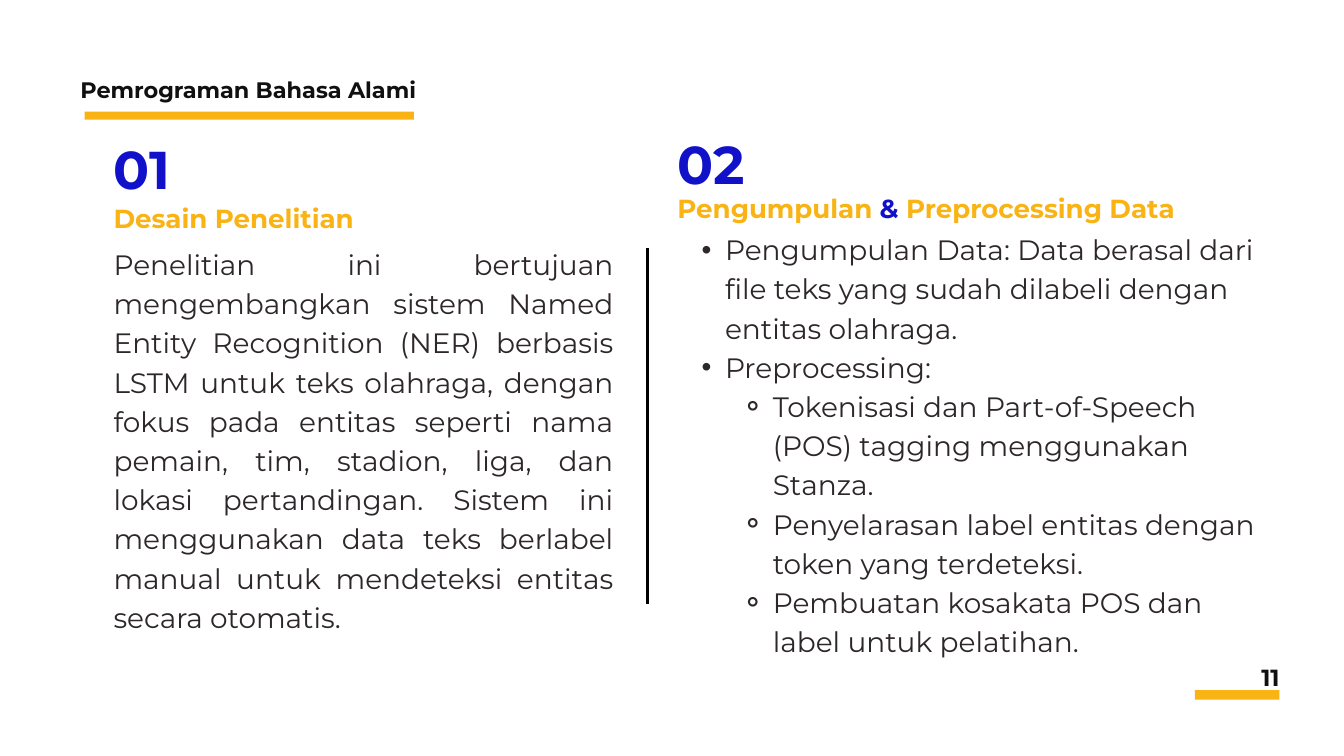
from lxml import etree
from pptx import Presentation
from pptx.dml.color import RGBColor
from pptx.enum.shapes import MSO_CONNECTOR, MSO_SHAPE
from pptx.enum.text import MSO_AUTO_SIZE, PP_ALIGN
from pptx.oxml.ns import qn
from pptx.util import Inches, Pt

FONT = "Montserrat"
BLUE = RGBColor(0x12, 0x11, 0xCA)
AMBER = RGBColor(0xF9, 0xB3, 0x14)
BLACK = RGBColor(0x00, 0x00, 0x00)
INK = RGBColor(0x10, 0x10, 0x10)
BODY = RGBColor(0x2D, 0x26, 0x2A)

NUMBER_FMT = {"size": Pt(57), "bold": True, "color": BLUE}
HEADING_FMT = {"size": Pt(28), "bold": True, "color": AMBER}
BODY_FMT = {"size": Pt(30), "bold": False, "color": BODY}
TITLE_FMT = {"size": Pt(24), "bold": True, "color": INK}
PAGE_FMT = {"size": Pt(25), "bold": True, "color": INK}

# Level: (left margin, hanging indent, bullet)
BULLETS = {1: (0.71, -0.35, "•"), 2: (1.42, -0.47, "⚬")}


def add_run(p, text, fmt):
    r = p.add_run()
    r.text = text
    r.font.name = FONT
    for name, value in fmt.items():
        if name == "color":
            r.font.color.rgb = value
        else:
            setattr(r.font, name, value)


def set_bullet(p, level):
    margin, indent, char = BULLETS[level]
    p.level = level
    pPr = p._p.get_or_add_pPr()
    pPr.set("marL", str(Inches(margin)))
    pPr.set("indent", str(Inches(indent)))
    etree.SubElement(pPr, qn("a:buFont")).set("typeface", "Arial")
    etree.SubElement(pPr, qn("a:buChar")).set("char", char)


def add_text(s, box, paragraphs, fmt, spacing, align=PP_ALIGN.LEFT):
    """Each paragraph is (level, [(text, format changes), ...])."""
    tf = s.shapes.add_textbox(*map(Inches, box)).text_frame
    frame = {"margin_left": 0, "margin_top": 0, "margin_right": 0,
             "margin_bottom": 0, "word_wrap": True,
             "auto_size": MSO_AUTO_SIZE.SHAPE_TO_FIT_TEXT}
    for name, value in frame.items():
        setattr(tf, name, value)
    for i, (level, runs) in enumerate(paragraphs):
        p = tf.add_paragraph() if i else tf.paragraphs[0]
        p.alignment = align
        p.line_spacing = Pt(spacing)
        if level:
            set_bullet(p, level)
        for text, changes in runs:
            add_run(p, text, {**fmt, **changes})


def plain(text, level=0):
    return level, [(text, {})]


def add_bar(s, box):
    sp = s.shapes.add_shape(MSO_SHAPE.RECTANGLE, *map(Inches, box))
    sp.shadow.inherit = False
    sp.fill.solid()
    sp.fill.fore_color.rgb = AMBER
    sp.line.fill.background()


def add_header(s, left, top, width):
    add_text(s, (left, top, width, 0.39), [plain("Pemrograman Bahasa Alami")],
             TITLE_FMT, 28.1, PP_ALIGN.RIGHT)
    add_bar(s, (left + 0.14, top + 0.52, 4.9, 0.12))


def add_section(s, box, number, heading, body, heading_gap, body_gap, align):
    """Number, heading and body stacked; gaps are measured from the box top."""
    left, top, width, height = box
    add_text(s, (left, top, 1.08, 1.06), [plain(number)], NUMBER_FMT, 79.8)
    add_text(s, (left, top + heading_gap, width, 0.53), [(0, heading)],
             HEADING_FMT, 39.2)
    add_text(s, (left, top + body_gap, width, height - body_gap), body,
             BODY_FMT, 42, align)


def add_divider(s, x, top, bottom):
    line = s.shapes.add_connector(MSO_CONNECTOR.STRAIGHT, Inches(x), Inches(top),
                                  Inches(x), Inches(bottom))
    line.line.color.rgb = BLACK
    line.line.width = Pt(3)
    etree.SubElement(line._element.spPr, qn("a:effectLst"))


def add_page_number(s, right, top, number):
    add_text(s, (right - 0.32, top, 0.32, 0.47), [plain(number)],
             PAGE_FMT, 35, PP_ALIGN.RIGHT)
    add_bar(s, (right - 1.26, top + 0.47, 1.26, 0.14))


def main():
    prs = Presentation()
    prs.slide_width, prs.slide_height = Inches(20), Inches(11.25)
    s = prs.slides.add_slide(prs.slide_layouts[6])

    add_header(s, 1.12, 1.14, 5.07)

    # Left column: research design
    design = [plain(
        "Penelitian ini bertujuan mengembangkan sistem Named Entity Recognition "
        "(NER) berbasis LSTM untuk teks olahraga, dengan fokus pada entitas "
        "seperti nama pemain, tim, stadion, liga, dan lokasi pertandingan. "
        "Sistem ini menggunakan data teks berlabel manual untuk mendeteksi "
        "entitas secara otomatis.")]
    add_section(s, (1.69, 1.87, 7.44, 7.44), "01", [("Desain Penelitian", {})],
                design, 1.06, 1.73, PP_ALIGN.JUSTIFY)

    add_divider(s, 9.63, 3.69, 8.99)

    # Right column: collection and preprocessing
    heading = [("Pengumpulan ", {}), ("&", {"color": BLUE}),
               (" Preprocessing Data", {})]
    steps = [
        plain("Pengumpulan Data: Data berasal dari file teks yang sudah "
              "dilabeli dengan entitas olahraga.", 1),
        plain("Preprocessing:", 1),
        plain("Tokenisasi dan Part-of-Speech (POS) tagging menggunakan Stanza.", 2),
        plain("Penyelarasan label entitas dengan token yang terdeteksi.", 2),
        plain("Pembuatan kosakata POS dan label untuk pelatihan.", 2),
    ]
    add_section(s, (10.08, 1.79, 8.75, 8.44), "02", heading, steps,
                1, 1.59, PP_ALIGN.LEFT)

    add_page_number(s, 19.04, 9.8, "11")
    prs.save("out.pptx")


if __name__ == "__main__":
    main()
